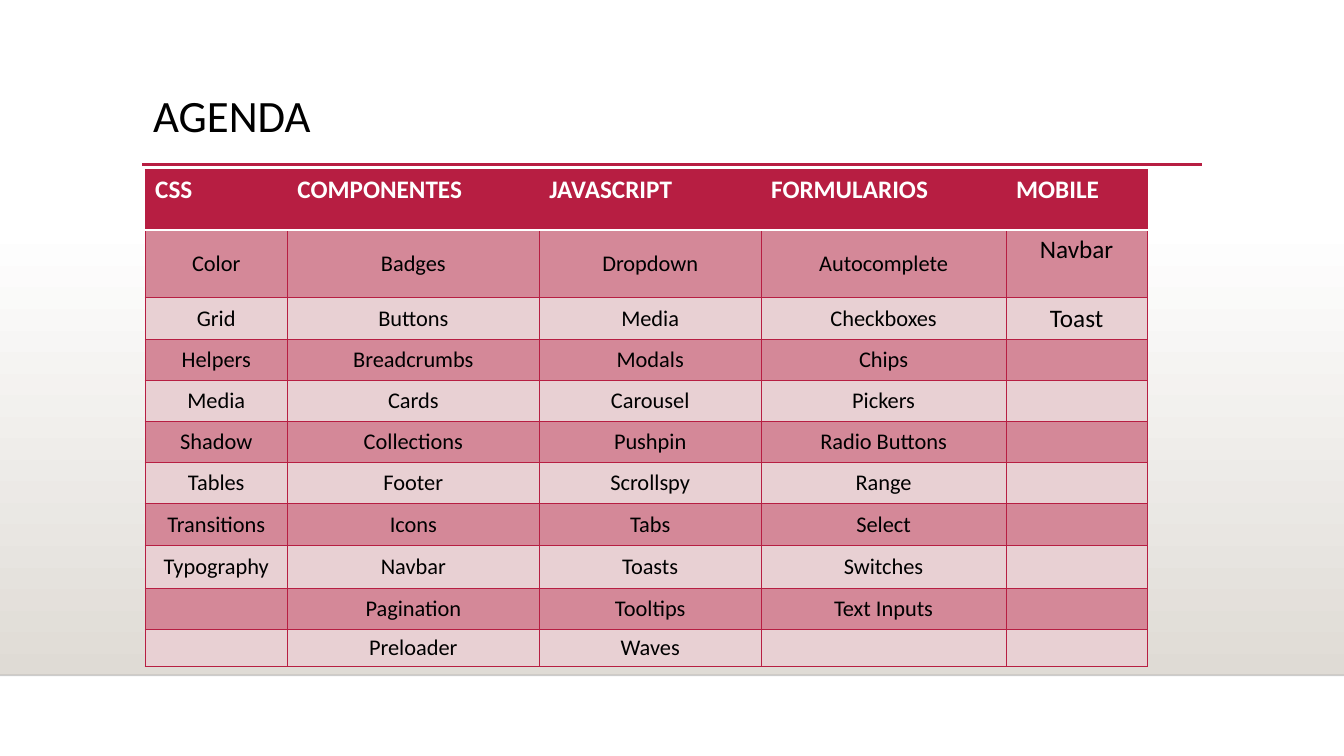
"""Build the agenda slide: a title, two rules and a table of topics."""
from dataclasses import dataclass
from itertools import zip_longest

from lxml.etree import SubElement as Sub
from pptx import Presentation
from pptx.dml.color import RGBColor as Rgb
from pptx.enum.shapes import MSO_CONNECTOR as Link, MSO_SHAPE as Form
from pptx.enum.text import MSO_ANCHOR as Anchor, PP_ALIGN as Align
from pptx.oxml.ns import qn
from pptx.util import Inches, Pt

WIDE, HIGH = Inches(13.33), Inches(7.5)
RED, ROSE, PALE, WHITE, BLACK = "B71E42", "D48898", "E8D0D3", "FFFFFF", "000000"
FACE = "Calibri"


@dataclass
class Rule:
    left: float
    right: float
    top: float
    hue: str
    thick: float
    alpha: int = 100


@dataclass
class Topic:
    head: str
    width: float
    items: list[str]


RULES = [
    Rule(0, 100, 89.33, "000001", 1, 20),
    Rule(10.58, 89.42, 21.73, RED, 2.5),
]
TOPICS = [
    Topic("CSS", 10.58, ["Color", "Grid", "Helpers", "Media", "Shadow", "Tables",
                         "Transitions", "Typography"]),
    Topic("COMPONENTES", 18.75, ["Badges", "Buttons", "Breadcrumbs", "Cards",
                                 "Collections", "Footer", "Icons", "Navbar",
                                 "Pagination", "Preloader"]),
    Topic("JAVASCRIPT", 16.5, ["Dropdown", "Media", "Modals", "Carousel", "Pushpin",
                               "Scrollspy", "Tabs", "Toasts", "Tooltips", "Waves"]),
    Topic("FORMULARIOS", 18.23, ["Autocomplete", "Checkboxes", "Chips", "Pickers",
                                 "Radio Buttons", "Range", "Select", "Switches",
                                 "Text Inputs"]),
    Topic("MOBILE", 10.5, ["Navbar", "Toast"]),
]
ROWS = [8, 9] + [5.45] * 6 + [5.73, 5.45, 4.93]


def across(share: float) -> int:
    return round(WIDE * share / 100)


def down(share: float) -> int:
    return round(HIGH * share / 100)


def paint(hue: str) -> Rgb:
    return Rgb.from_string(hue)


def style(para, size: int, hue: str, bold: bool = False) -> None:
    for run in para.runs:
        font = run.font
        font.name, font.size, font.bold = FACE, Pt(size), bold
        font.color.rgb = paint(hue)


def shade(slide) -> None:
    box = slide.shapes.add_shape(Form.RECTANGLE, 0, down(29.47), WIDE, down(59.86))
    box.shadow.inherit = False
    box.line.fill.background()
    box.fill.gradient()
    box.fill.gradient_angle = 270
    for stop, hue in zip(box.fill.gradient_stops, (WHITE, "DFDBD5")):
        stop.color.rgb = paint(hue)


def draw(slide, rule: Rule) -> None:
    line = slide.shapes.add_connector(Link.STRAIGHT, across(rule.left), down(rule.top),
                                      across(rule.right), down(rule.top))
    line.line.color.rgb = paint(rule.hue)
    line.line.width = Pt(rule.thick)
    props = line._element.spPr
    if rule.alpha < 100:
        tint = props.find(".//" + qn("a:srgbClr"))
        Sub(tint, qn("a:alpha"), val=str(rule.alpha * 1000))
    Sub(props, qn("a:effectLst"))


def title(slide, text: str) -> None:
    box = slide.shapes.add_textbox(across(10.65), down(11.73), across(78.77), down(15.33))
    frame = box.text_frame
    frame.word_wrap = True
    frame.text = text
    para = frame.paragraphs[0]
    para.line_spacing = 0.9
    style(para, 32, BLACK)


def edge(cell, side: str, hue: str, thick: float) -> None:
    line = Sub(cell._tc.get_or_add_tcPr(), qn("a:ln" + side), w=str(Pt(thick)))
    Sub(Sub(line, qn("a:solidFill")), qn("a:srgbClr"), val=hue)


def fill(cell, text: str, row: int, col: int) -> None:
    seam = {0: "B", 1: "T"}.get(row)
    for side in "LRTB":
        edge(cell, side, *((WHITE, 1.25) if side == seam else (RED, 0.75)))
    cell.fill.solid()
    cell.fill.fore_color.rgb = paint(RED if row == 0 else ROSE if row % 2 else PALE)
    frame = cell.text_frame
    frame.text = text
    para = frame.paragraphs[0]
    last = col == len(TOPICS) - 1
    if row == 0:
        style(para, 18, WHITE, True)
        return
    cell.vertical_anchor = Anchor.TOP if last and row == 1 else Anchor.MIDDLE
    para.alignment = Align.CENTER
    style(para, 18 if last else 16, BLACK)
    if not text:
        Sub(para._p, qn("a:endParaRPr"), sz="1600")


def agenda(slide) -> None:
    total = sum(topic.width for topic in TOPICS)
    table = slide.shapes.add_table(len(ROWS), len(TOPICS), across(10.8), down(22.4),
                                   across(total), down(sum(ROWS))).table
    for row, share in zip(table.rows, ROWS):
        row.height = down(share)
    for col, topic in zip(table.columns, TOPICS):
        col.width = across(topic.width)
    lists = ([topic.head, *topic.items] for topic in TOPICS)
    for row, texts in enumerate(zip_longest(*lists, fillvalue="")):
        for col, text in enumerate(texts):
            fill(table.cell(row, col), text, row, col)


def main() -> None:
    deck = Presentation()
    deck.slide_width, deck.slide_height = WIDE, HIGH
    slide = deck.slides.add_slide(deck.slide_layouts[6])
    slide.background.fill.solid()
    slide.background.fill.fore_color.rgb = paint(WHITE)
    shade(slide)
    for rule in RULES:
        draw(slide, rule)
    title(slide, "AGENDA")
    agenda(slide)
    deck.save("out.pptx")


if __name__ == "__main__":
    main()
